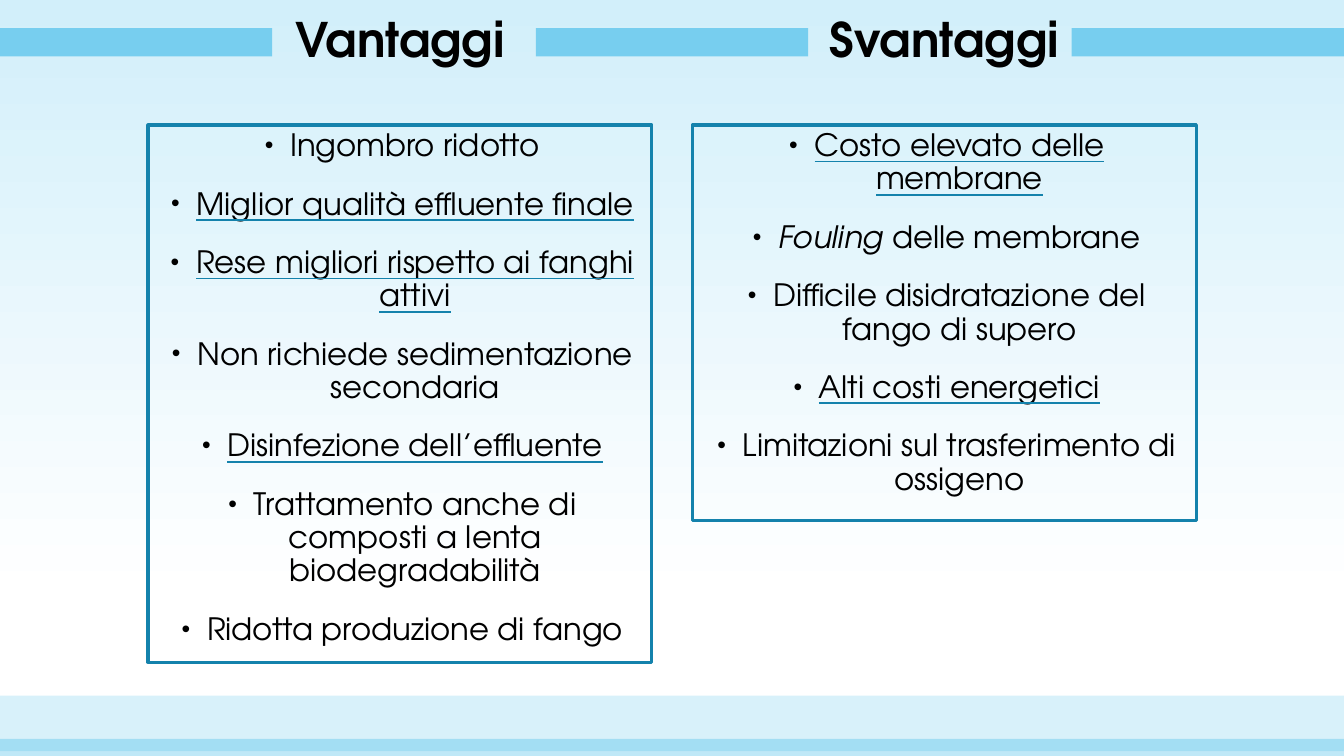
from lxml import etree
from pptx import Presentation
from pptx.dml.color import RGBColor
from pptx.enum.shapes import MSO_SHAPE
from pptx.enum.text import MSO_ANCHOR, MSO_AUTO_SIZE, PP_ALIGN
from pptx.oxml.ns import qn
from pptx.util import Cm, Pt

RECTANGLE = MSO_SHAPE.RECTANGLE
CENTER = PP_ALIGN.CENTER
TOP, MIDDLE = MSO_ANCHOR.TOP, MSO_ANCHOR.MIDDLE
NO_AUTOFIT = MSO_AUTO_SIZE.NONE

COLUMNS = [
    {
        "heading": "Vantaggi",
        "left": 3.73,
        "height": 13.54,
        "items": [
            [("Ingombro ridotto", "plain")],
            [("Miglior qualità effluente finale", "underline")],
            [("Rese migliori rispetto ai fanghi attivi", "underline")],
            [("Non richiede sedimentazione secondaria", "plain")],
            [("Disinfezione dell’effluente", "underline")],
            [("Trattamento anche di composti a lenta biodegradabilità", "plain")],
            [("Ridotta produzione di fango", "plain")],
        ],
    },
    {
        "heading": "Svantaggi",
        "left": 17.45,
        "height": 9.96,
        "items": [
            [("Costo elevato delle membrane", "underline")],
            [("Fouling ", "italic"), ("delle membrane", "plain")],
            [("Difficile disidratazione del fango di supero", "plain")],
            [("Alti costi energetici", "underline")],
            [("Limitazioni sul trasferimento di ossigeno", "plain")],
        ],
    },
]
STYLES = {"plain": {}, "underline": {"underline": True}, "italic": {"italic": True}}
FOOTER_STRIPS = [(17.53, 1.4, 17), (18.62, 0.43, 28)]

FONT = "TeX Gyre Adventor"
BLACK, ACCENT, BAR, STRIP = "000000", "1482AC", "77CEEF", "1CADE4"
SKY, WHITE = "D2EFFA", "FFFFFF"
SLIDE_WIDTH, SLIDE_HEIGHT = 33.87, 19.05
COLUMN_WIDTH, HEADING_HEIGHT, LIST_TOP = 12.7, 2.11, 3.15
BAR_WIDTH, BAR_HEIGHT, BAR_TOP, BAR_COUNT = 6.86, 0.71, 0.71, 3


def color(value):
    return RGBColor.from_string(value)


def add_text(paragraph, text, size=22, bold=False, italic=False, underline=False):
    run = paragraph.add_run()
    run.text = text
    font = run.font
    font.size, font.bold, font.italic = Pt(size), bold, italic
    font.color.rgb = color(BLACK)
    if underline:
        font.underline = True
        underline_fill = etree.SubElement(run._r.get_or_add_rPr(), qn("a:uFill"))
        solid = etree.SubElement(underline_fill, qn("a:solidFill"))
        etree.SubElement(solid, qn("a:srgbClr"), val=ACCENT)
    font.name = FONT


def add_bullet(paragraph):
    properties = paragraph._p.get_or_add_pPr()
    properties.set("marL", str(Cm(0.76)))
    properties.set("indent", str(Cm(-0.64)))
    etree.SubElement(properties, qn("a:buSzPct"), val="80000")
    etree.SubElement(properties, qn("a:buFont"), typeface="Arial")
    etree.SubElement(properties, qn("a:buChar"), char="•")


def fill_placeholder(shape, box, paragraphs, anchor, bulleted=False):
    shape.left, shape.top, shape.width, shape.height = map(Cm, box)
    frame = shape.text_frame
    frame.auto_size, frame.word_wrap = NO_AUTOFIT, True
    frame.vertical_anchor = anchor
    for index, runs in enumerate(paragraphs):
        paragraph = frame.add_paragraph() if index else frame.paragraphs[0]
        paragraph.alignment, paragraph.line_spacing = CENTER, 0.9
        paragraph.space_before = Pt(18 if bulleted else 0)
        if bulleted:
            add_bullet(paragraph)
        for text, text_format in runs:
            add_text(paragraph, text, **text_format)


def add_band(slide, box, fill, opacity=100):
    shape = slide.shapes.add_shape(RECTANGLE, *map(Cm, box))
    shape.shadow.inherit = False
    shape.fill.solid()
    shape.fill.fore_color.rgb = color(fill)
    shape.line.fill.background()
    if opacity < 100:
        fill_color = shape._element.spPr.find(qn("a:solidFill"))[0]
        etree.SubElement(fill_color, qn("a:alpha"), val=str(opacity * 1000))


def paint_background(slide):
    fill = slide.background.fill
    fill.gradient()
    fill.gradient_angle = 270
    for stop, position, value in zip(fill.gradient_stops, (0, 0.79), (SKY, WHITE)):
        stop.position = position
        stop.color.rgb = color(value)


def main():
    presentation = Presentation()
    presentation.slide_width = Cm(SLIDE_WIDTH)
    presentation.slide_height = Cm(SLIDE_HEIGHT)
    slide = presentation.slides.add_slide(presentation.slide_layouts.get_by_name("Comparison"))
    paint_background(slide)
    title, *bodies = slide.placeholders
    title._element.getparent().remove(title._element)

    for top, height, opacity in FOOTER_STRIPS:
        add_band(slide, (0, top, SLIDE_WIDTH, height), STRIP, opacity)

    for column, heading, listing in zip(COLUMNS, bodies[::2], bodies[1::2]):
        left = column["left"]
        heading_runs = [(column["heading"], {"size": 34, "bold": True})]
        fill_placeholder(heading, (left, 0, COLUMN_WIDTH, HEADING_HEIGHT), [heading_runs], MIDDLE)
        items = [[(text, STYLES[style]) for text, style in runs] for runs in column["items"]]
        list_box = (left, LIST_TOP, COLUMN_WIDTH, column["height"])
        fill_placeholder(listing, list_box, items, TOP, bulleted=True)
        listing.line.color.rgb = color(ACCENT)
        listing.line.width = Pt(2.25)

    bar_step = (SLIDE_WIDTH - BAR_WIDTH) / (BAR_COUNT - 1)
    for index in range(BAR_COUNT):
        add_band(slide, (index * bar_step, BAR_TOP, BAR_WIDTH, BAR_HEIGHT), BAR)

    presentation.save("out.pptx")


if __name__ == "__main__":
    main()
